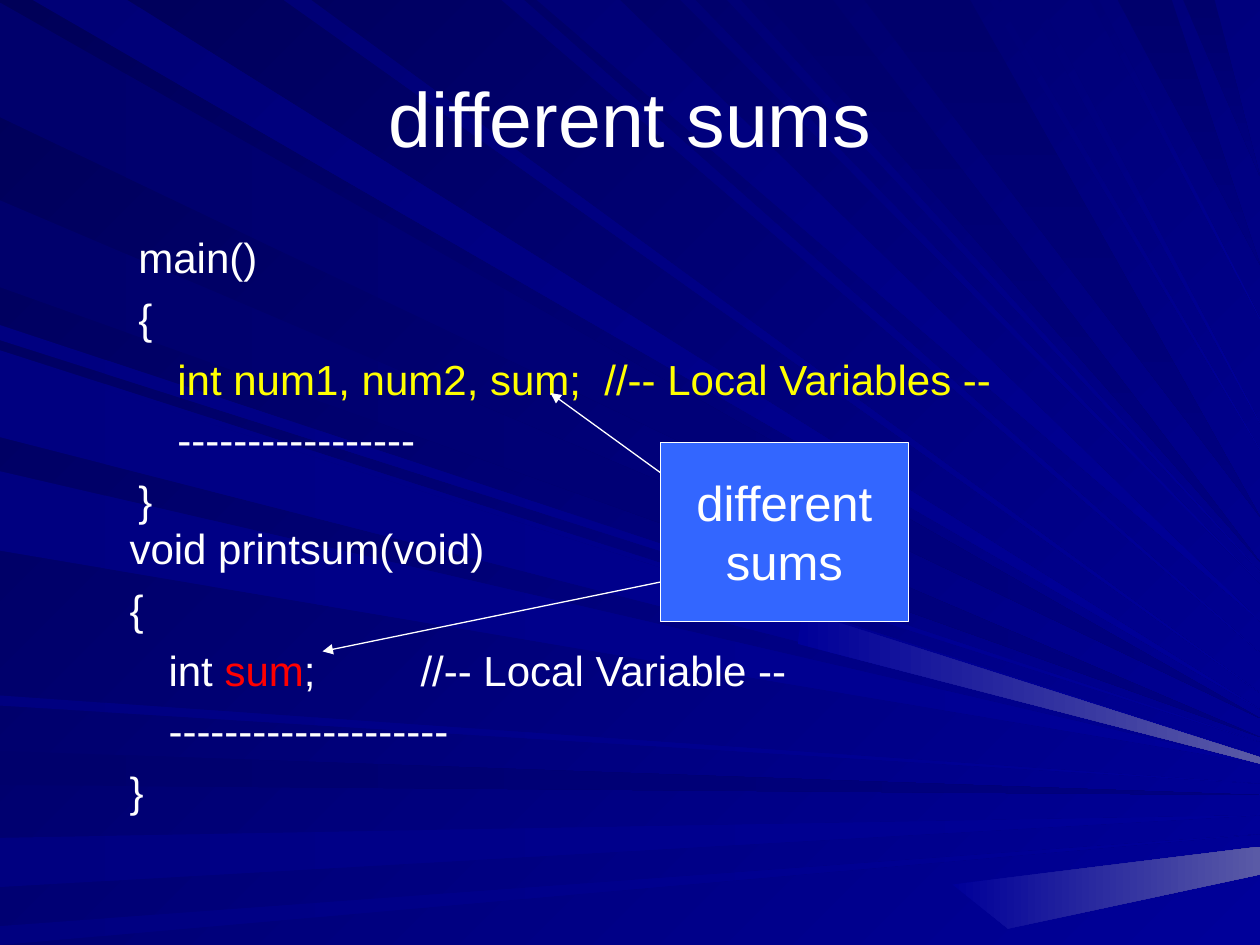
from pptx import Presentation
from pptx.dml.color import RGBColor
from pptx.enum import shapes, text
from pptx.oxml.xmlchemy import OxmlElement
from pptx.util import Inches, Pt

WHITE = RGBColor(0xFF, 0xFF, 0xFF)
YELLOW = RGBColor(0xFF, 0xFF, 0x00)
RED = RGBColor(0xFF, 0x00, 0x00)
BOX_BLUE = RGBColor(0x33, 0x66, 0xFF)
NIGHT = RGBColor(0x00, 0x00, 0x58)
DARK = RGBColor(0x00, 0x00, 0x6C)
DEEP = RGBColor(0x00, 0x00, 0x76)
NAVY = RGBColor(0x00, 0x00, 0x80)
ROYAL = RGBColor(0x00, 0x00, 0x99)
GLOW = RGBColor(0x5A, 0x5A, 0xA6)
FONT = "Arial"

# Rays taper from a stretch of the left or top edge to a tip on the right edge:
# start and end of the stretch, height of the tip
LEFT_DARK = [(0.02, 0.93, 5.7), (5.96, 6.23, 6.31), (1.59, 2.28, 5.85)]
LEFT_LIGHT = [(6.65, 7.04, 6.47), (7.35, 7.5, 6.62), (2.58, 2.7, 5.89), (2.78, 3.42, 6),
              (3.74, 4.37, 6.06), (5.52, 5.6, 6.22), (2.83, 3.47, 6.03)]
TOP_LIGHT = [(0.26, 1.01, 5.63), (3.98, 4.16, 5.18), (4.26, 4.92, 4.93), (5.4, 5.52, 4.63),
             (2.25, 2.47, 5.5), (5.77, 5.88, 4.54), (7.85, 7.92, 3.57), (8.15, 8.24, 3.36),
             (8.65, 8.72, 2.53)]
TOP_DARK = [(6.06, 6.61, 4.46), (8.87, 9.3, 2.1), (9.39, 9.64, 1.4), (6.86, 7.7, 4.1)]
GLOWS = [[(6.37, 4.85), (10, 6.01), (10, 6.06), (6.33, 5.11)],
         [(7.56, 7.02), (10, 6.72), (10, 6.94), (8, 7.37)]]

MAIN_CODE = [
    [("main()", WHITE)],
    [("{", WHITE)],
    [("\t", WHITE), ("int num1, num2, sum;  //-- Local Variables --", YELLOW)],
    [("\t-----------------", WHITE)],
    [("}", WHITE)],
]
PRINTSUM_CODE = [
    [("void printsum(void)", WHITE)],
    [("{", WHITE)],
    [("\tint ", WHITE), ("sum", RED), (";\t\t//-- Local Variable --", WHITE)],
    [("\t--------------------", WHITE)],
    [("}", WHITE)],
]


def fill_blend(fill, first, last, angle):
    """Fill with a gradient whose angle turns clockwise."""
    fill.gradient()
    fill.gradient_angle = (360 - angle) % 360
    for stop, color in zip(fill.gradient_stops, (first, last)):
        stop.color.rgb = color


def add_ray(s, points, first, last, angle):
    corners = [(Inches(x), Inches(y)) for x, y in points]
    builder = s.shapes.build_freeform(*corners[0])
    builder.add_line_segments(corners[1:], close=True)
    sp = builder.convert_to_shape()
    sp.shadow.inherit = False
    sp.line.fill.background()
    fill_blend(sp.fill, first, last, angle)


def add_background(s):
    fill_blend(s.background.fill, NIGHT, ROYAL, 45)
    for rays, first, last, angle in ((LEFT_DARK, DARK, NAVY, 0), (LEFT_LIGHT, NAVY, ROYAL, 0)):
        for start, end, tip in rays:
            add_ray(s, [(0, start), (0, end), (10, tip)], first, last, angle)
    for rays, first, last, angle in ((TOP_LIGHT, DEEP, ROYAL, 45), (TOP_DARK, DARK, NAVY, 90)):
        for start, end, tip in rays:
            add_ray(s, [(start, 0), (end, 0), (10, tip)], first, last, angle)
    for points in GLOWS:
        add_ray(s, points, ROYAL, GLOW, 0)


def format_run(r, size, color=WHITE):
    r.font.name = FONT
    r.font.size = Pt(size)
    r.font.color.rgb = color


def center_text(tf, content, size):
    tf.text = content
    tf.vertical_anchor = text.MSO_ANCHOR.MIDDLE
    for p in tf.paragraphs:
        p.alignment = text.PP_ALIGN.CENTER
        for r in p.runs:
            format_run(r, size)


def add_title(s, x, y, w, h):
    tf = s.shapes.add_textbox(x, y, w, h).text_frame
    tf.word_wrap = True
    center_text(tf, "different sums", 44)


def add_code(s, x, y, w, h, lines):
    tf = s.shapes.add_textbox(x, y, w, h).text_frame
    tf.word_wrap = True
    tf.margin_top = Inches(0.09)
    for i, line in enumerate(lines):
        p = tf.add_paragraph() if i else tf.paragraphs[0]
        p.level = 1
        pPr = p._p.get_or_add_pPr()
        pPr.set("marL", str(Inches(0.81)))
        pPr.set("indent", str(Inches(-0.31)))
        if i:
            p.space_before = Pt(5.8)
        for content, color in line:
            r = p.add_run()
            r.text = content
            format_run(r, 24, color)


def add_arrow(s, x1, y1, x2, y2):
    cxn = s.shapes.add_connector(shapes.MSO_CONNECTOR.STRAIGHT, x1, y1, x2, y2)
    cxn.line.color.rgb = WHITE
    cxn.line.width = Pt(0.75)
    tail = OxmlElement("a:tailEnd")
    tail.set("type", "triangle")
    cxn.line._get_or_add_ln().append(tail)
    cxn._element.spPr.append(OxmlElement("a:effectLst"))


def add_callout(s, x, y, w, h):
    """Draw the label box with arrows from its left side to both declarations."""
    sp = s.shapes.add_shape(shapes.MSO_SHAPE.FLOWCHART_PROCESS, x, y, w, h)
    sp.shadow.inherit = False
    sp.fill.solid()
    sp.fill.fore_color.rgb = BOX_BLUE
    sp.line.color.rgb = WHITE
    sp.line.width = Pt(0.75)
    sp.text_frame.word_wrap = False
    center_text(sp.text_frame, "different\nsums", 28)
    add_arrow(s, x, y + Inches(0.24), x - Inches(0.87), y - Inches(0.39))
    add_arrow(s, x, y + Inches(1.11), x - Inches(2.68), y + Inches(1.66))


def main():
    prs = Presentation()
    prs.slide_width, prs.slide_height = Inches(10), Inches(7.5)
    s = prs.slides.add_slide(prs.slide_layouts[6])
    add_background(s)
    add_title(s, Inches(0.5), Inches(0.3), Inches(9), Inches(1.25))
    add_code(s, Inches(0.43), Inches(4.06), Inches(8.44), Inches(3.1), PRINTSUM_CODE)
    add_code(s, Inches(0.5), Inches(1.75), Inches(9), Inches(4.95), MAIN_CODE)
    add_callout(s, Inches(5.24), Inches(3.51), Inches(1.97), Inches(1.42))
    prs.save("out.pptx")


if __name__ == "__main__":
    main()
